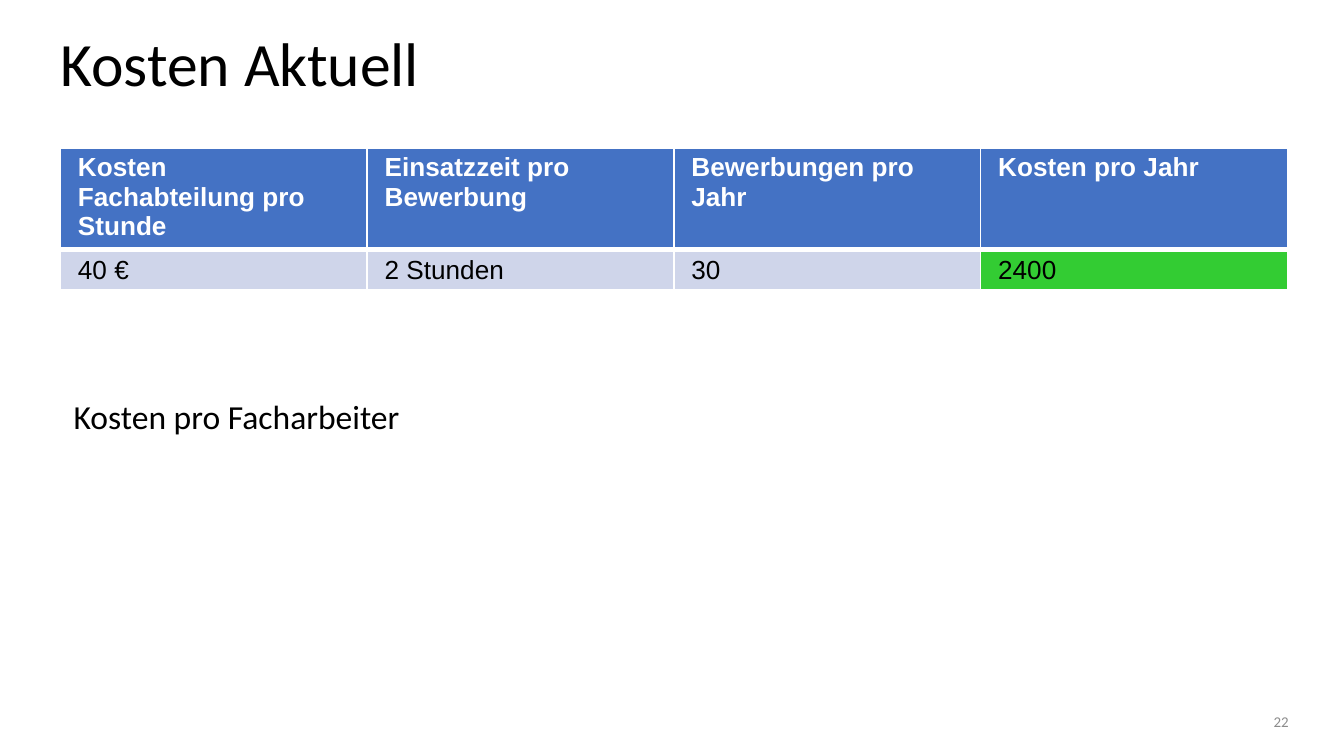
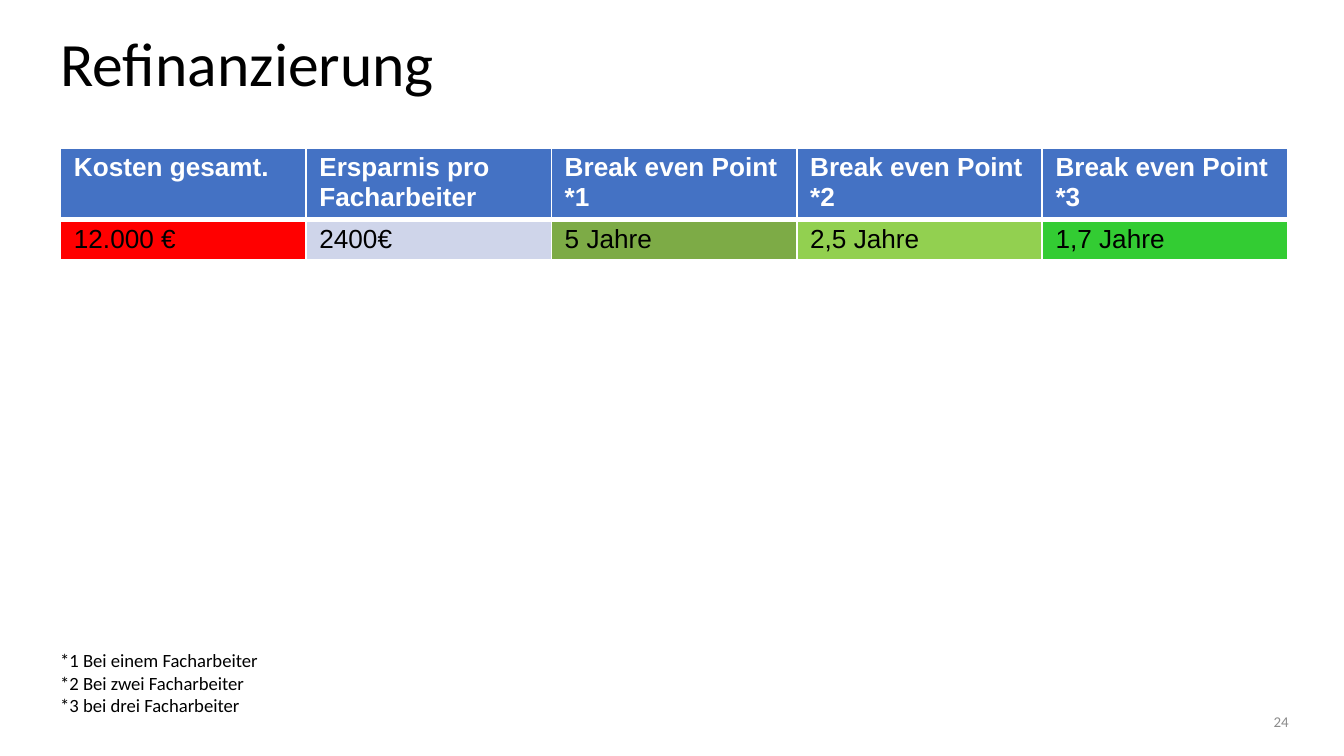
from dataclasses import dataclass

from lxml import etree
from pptx import Presentation
from pptx.dml.color import RGBColor
from pptx.enum.text import MSO_ANCHOR, MSO_AUTO_SIZE, PP_ALIGN
from pptx.oxml.ns import qn
from pptx.util import Inches, Pt

MIDDLE = MSO_ANCHOR.MIDDLE
GROW = MSO_AUTO_SIZE.SHAPE_TO_FIT_TEXT
FIXED = MSO_AUTO_SIZE.NONE
LEFT, RIGHT = PP_ALIGN.LEFT, PP_ALIGN.RIGHT

BLACK = RGBColor(0x00, 0x00, 0x00)
WHITE = RGBColor(0xFF, 0xFF, 0xFF)
GREY = RGBColor(0x8C, 0x8C, 0x8C)
BLUE = RGBColor(0x44, 0x72, 0xC4)
PALE = RGBColor(0xCF, 0xD5, 0xEA)
RED = RGBColor(0xFF, 0x00, 0x00)
OLIVE = RGBColor(0x7D, 0xAB, 0x46)
LIME = RGBColor(0x92, 0xD0, 0x50)
GREEN = RGBColor(0x33, 0xCC, 0x33)

TITLE = {"name": "Calibri", "size": Pt(33), "bold": False}
NUMBER = {"name": "Calibri", "size": Pt(8)}
HEAD = {"name": "Arial", "size": Pt(14), "bold": True}
BODY = HEAD | {"bold": False}

THIN = {"L": 1, "R": 1, "T": 1, "B": 1}
HEAD_EDGE = THIN | {"B": 3}
BODY_EDGE = THIN | {"T": 3}


@dataclass
class Column:
    head: str
    value: str
    fill: RGBColor = PALE


@dataclass
class Note:
    lines: list[str]
    box: tuple[float, float, float, float]
    size: int


@dataclass
class Page:
    title: str
    number: str
    columns: list[Column]
    head_high: float
    inset: float
    note: Note


PAGES = [
    Page(
        "Kosten Aktuell", "22",
        [
            Column("Kosten Fachabteilung pro Stunde", "40 €"),
            Column("Einsatzzeit pro Bewerbung", "2 Stunden"),
            Column("Bewerbungen pro Jahr", "30"),
            Column("Kosten pro Jahr", "2400", GREEN),
        ],
        0.76, 0.13,
        Note(["Kosten pro Facharbeiter"], (0.45, 2.9, 2.66, 0.4), 18),
    ),
    Page(
        "Refinanzierung", "24",
        [
            Column("Kosten gesamt.", "12.000 €", RED),
            Column("Ersparnis pro Facharbeiter", "2400€"),
            Column("Break even Point *1", "5 Jahre", OLIVE),
            Column("Break even Point *2", "2,5 Jahre", LIME),
            Column("Break even Point *3", "1,7 Jahre", GREEN),
        ],
        0.53, 0.1,
        Note(
            ["*1 Bei einem Facharbeiter", "*2 Bei zwei Facharbeiter",
             "*3 bei drei Facharbeiter"],
            (0.35, 4.78, 1.7, 0.61), 10,
        ),
    ),
]


def assign(target, values: dict) -> None:
    for key, value in values.items():
        setattr(target, key, value)


def write(frame, lines: list[str], font: dict, color: RGBColor, align=LEFT) -> None:
    frame.text = "\n".join(lines)
    for par in frame.paragraphs:
        par.alignment = align
        for run in par.runs:
            assign(run.font, font)
            run.font.color.rgb = color


def add_title(slide, text: str) -> None:
    title = slide.shapes.title
    assign(title, {"left": Inches(0.35), "top": Inches(0.18),
                   "width": Inches(9.25), "height": Inches(0.63)})
    frame = title.text_frame
    write(frame, [text], TITLE, BLACK)
    assign(frame, {"vertical_anchor": MIDDLE, "auto_size": FIXED})
    frame.paragraphs[0].line_spacing = 0.9


def edge(cell, widths: dict[str, int]) -> None:
    """Give the cell white borders; call before its fill is set."""
    props = cell._tc.get_or_add_tcPr()
    for side, points in widths.items():
        line = etree.SubElement(props, qn(f"a:ln{side}"), w=str(Pt(points)))
        fill = etree.SubElement(line, qn("a:solidFill"))
        etree.SubElement(fill, qn("a:srgbClr"), val=str(WHITE))


def add_grid(slide, page: Page) -> None:
    """Draw one header row and one row of values."""
    count = len(page.columns)
    wide, low = Inches(9.13), Inches(0.3)
    high = Inches(page.head_high)
    table = slide.shapes.add_table(
        2, count, Inches(0.45), Inches(1.1), wide, high + low).table
    table.rows[0].height, table.rows[1].height = high, low
    pad = {"margin_left": Inches(page.inset), "margin_right": Inches(page.inset),
           "margin_top": Inches(0.04), "margin_bottom": Inches(0.04)}
    for index, column in enumerate(page.columns):
        table.columns[index].width = wide // count
        looks = [(column.head, HEAD, WHITE, BLUE, HEAD_EDGE),
                 (column.value, BODY, BLACK, column.fill, BODY_EDGE)]
        for row, (text, font, color, fill, widths) in enumerate(looks):
            cell = table.cell(row, index)
            assign(cell, pad)
            edge(cell, widths)
            cell.fill.solid()
            cell.fill.fore_color.rgb = fill
            write(cell.text_frame, [text], font, color)


def add_number(slide, text: str) -> None:
    box = slide.shapes.add_textbox(
        Inches(6.52), Inches(5.27), Inches(3.07), Inches(0.2))
    frame = box.text_frame
    assign(frame, {"word_wrap": True, "vertical_anchor": MIDDLE,
                   "margin_left": 0, "margin_right": 0})
    write(frame, [text], NUMBER, GREY, RIGHT)


def add_note(slide, note: Note) -> None:
    box = slide.shapes.add_textbox(*map(Inches, note.box))
    frame = box.text_frame
    assign(frame, {"word_wrap": False, "auto_size": GROW})
    write(frame, note.lines, {"name": "Calibri", "size": Pt(note.size)}, BLACK)


def main() -> None:
    deck = Presentation()
    wide = Inches(10)
    assign(deck, {"slide_width": wide, "slide_height": wide * 9 // 16})
    layout = deck.slide_layouts.get_by_name("Title Only")
    for page in PAGES:
        slide = deck.slides.add_slide(layout)
        add_grid(slide, page)
        add_title(slide, page.title)
        add_number(slide, page.number)
        add_note(slide, page.note)
    deck.save("out.pptx")


if __name__ == "__main__":
    main()
